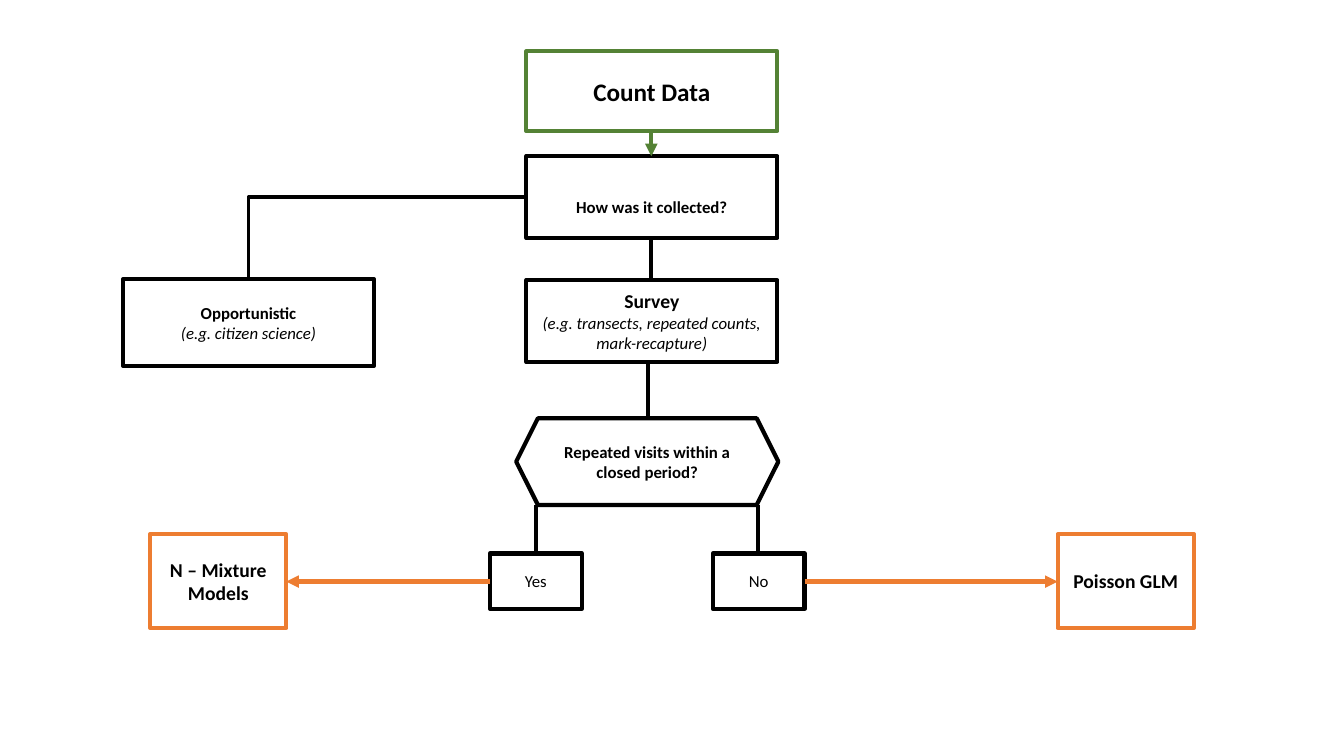
from dataclasses import dataclass

from lxml.etree import SubElement
from pptx import Presentation
from pptx.dml.color import RGBColor
from pptx.enum.shapes import MSO_CONNECTOR, MSO_SHAPE
from pptx.enum.text import MSO_ANCHOR, PP_ALIGN
from pptx.oxml.ns import qn
from pptx.shapes.autoshape import Shape
from pptx.shapes.connector import Connector
from pptx.util import Inches, Pt

BLACK = RGBColor(0x00, 0x00, 0x00)
WHITE = RGBColor(0xFF, 0xFF, 0xFF)
GREEN = RGBColor(0x54, 0x82, 0x35)
ORANGE = RGBColor(0xED, 0x7D, 0x31)


@dataclass(frozen=True)
class Text:
    words: str
    size: int = 12
    bold: bool = True
    italic: bool = False


@dataclass(frozen=True)
class Node:
    left: float
    top: float
    width: float
    height: float
    lines: tuple[Text, ...]
    color: RGBColor = BLACK
    fill: RGBColor | None = None
    form: MSO_SHAPE = MSO_SHAPE.RECTANGLE
    inset: float = 0.05


@dataclass(frozen=True)
class Link:
    start: tuple[float, float]
    end: tuple[float, float]
    color: RGBColor = BLACK
    arrow: bool = False


deck = Presentation()
deck.slide_width, deck.slide_height = Inches(13.33), Inches(7.5)
slide = deck.slides.add_slide(deck.slide_layouts[6])


def draw_node(node: Node) -> Shape:
    box = slide.shapes.add_shape(
        node.form, Inches(node.left), Inches(node.top),
        Inches(node.width), Inches(node.height))
    box.shadow.inherit = False
    if node.fill is None:
        box.fill.background()
    else:
        box.fill.solid()
        box.fill.fore_color.rgb = node.fill
    box.line.color.rgb = node.color
    box.line.width = Pt(3)
    frame = box.text_frame
    frame.word_wrap = True
    frame.vertical_anchor = MSO_ANCHOR.MIDDLE
    frame.margin_top = Inches(node.inset)
    for index, text in enumerate(node.lines):
        para = frame.add_paragraph() if index else frame.paragraphs[0]
        para.text = text.words
        para.alignment = PP_ALIGN.CENTER
        font = para.font
        font.name, font.size = "Calibri", Pt(text.size)
        font.bold, font.italic = text.bold, text.italic
        font.color.rgb = BLACK
    return box


def draw_link(link: Link, kind: MSO_CONNECTOR = MSO_CONNECTOR.STRAIGHT,
              width: float = 3) -> Connector:
    line = slide.shapes.add_connector(
        kind, *map(Inches, link.start), *map(Inches, link.end))
    line.line.color.rgb = link.color
    line.line.width = Pt(width)
    if link.arrow:
        SubElement(line.line._get_or_add_ln(), qn("a:tailEnd"), type="triangle")
    SubElement(line._element.spPr, qn("a:effectLst"))
    return line


# Shared measures of the chart
MAIN, WIDE = 5.22, 2.49
MID = 6.46
ROW = 5.77

# Straight links
LINKS = [
    Link((MID, 1.3), (MID, 1.55), GREEN, True),
    Link((MID, 2.36), (MID, 2.78)),
    Link((6.43, 3.58), (6.43, 4.15)),
    Link((5.32, 5.49), (5.32, 5.01)),
    Link((7.52, 5.49), (7.52, 5.01)),
    Link((4.86, ROW), (2.84, ROW), ORANGE, True),
    Link((7.98, ROW), (10.49, ROW), ORANGE, True),
]

# Data source and how it was collected
ask = Node(MAIN, 1.55, WIDE, 0.81, (Text("How was it collected?"),), inset=0.25)
chance = Node(1.22, 2.77, WIDE, 0.86, (
    Text("Opportunistic"),
    Text("(e.g. citizen science)", bold=False, italic=True)))
NODES = [
    Node(MAIN, 0.51, WIDE, 0.79, (Text("Count Data", 18),), GREEN),
    Node(MAIN, 2.78, WIDE, 0.81, (
        Text("Survey", 14),
        Text("(e.g. transects, repeated counts, mark-recapture)",
             bold=False, italic=True))),
    Node(5.12, 4.15, 2.6, 0.86,
         (Text("Repeated visits within a closed period?"),),
         form=MSO_SHAPE.HEXAGON),
]

# Answers and the models they lead to
for left, word in ((4.86, "Yes"), (7.07, "No")):
    NODES.append(Node(left, 5.49, 0.91, 0.55, (Text(word, bold=False),)))
for left, word in ((1.49, "N – Mixture Models"), (10.49, "Poisson GLM")):
    NODES.append(Node(left, 5.3, 1.35, 0.93, (Text(word, 14),), ORANGE, WHITE))

for node in NODES:
    draw_node(node)
ask_box, chance_box = draw_node(ask), draw_node(chance)
for link in LINKS:
    draw_link(link)

# Elbow from the left side of the question to the top of the other box
elbow = draw_link(Link((MAIN, 1.95), (2.46, 2.77)), MSO_CONNECTOR.ELBOW, 2.25)
elbow._element.spPr.find(qn("a:prstGeom")).set("prst", "bentConnector2")
elbow.begin_connect(ask_box, 1)
elbow.end_connect(chance_box, 0)

deck.save("out.pptx")
